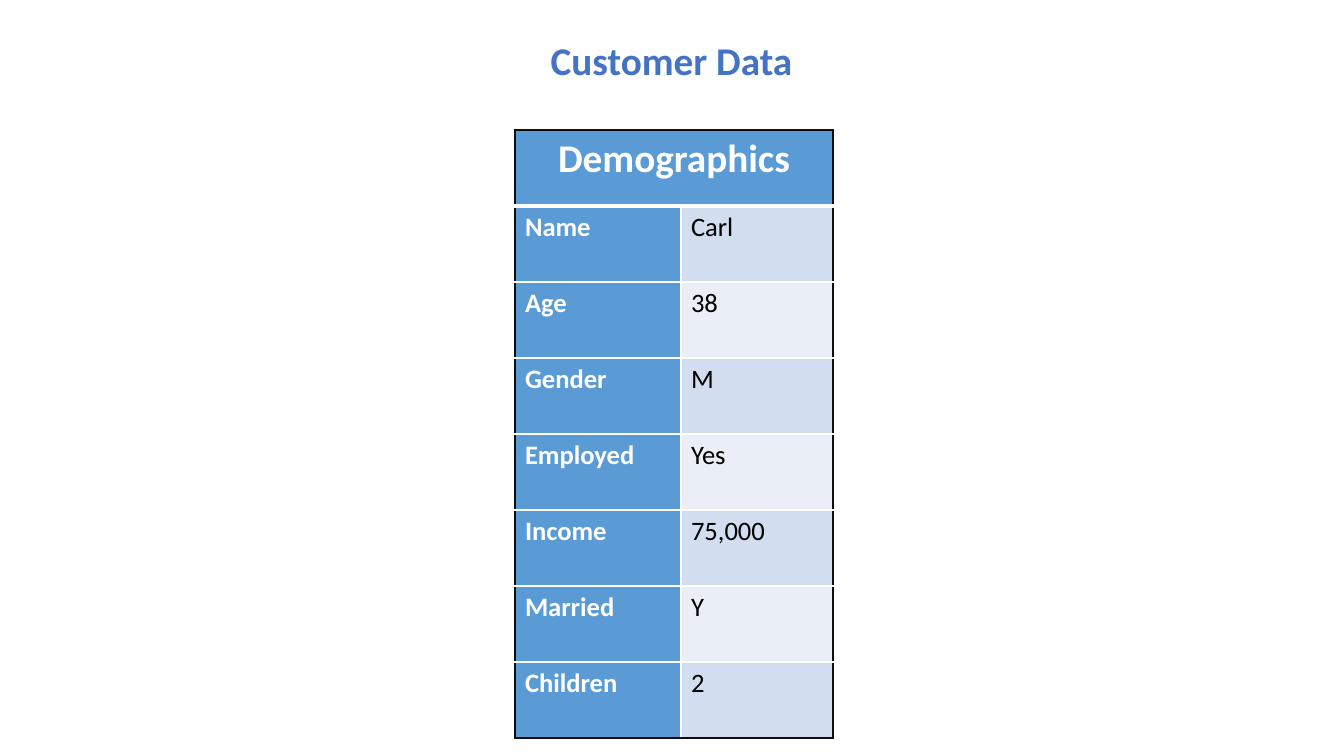
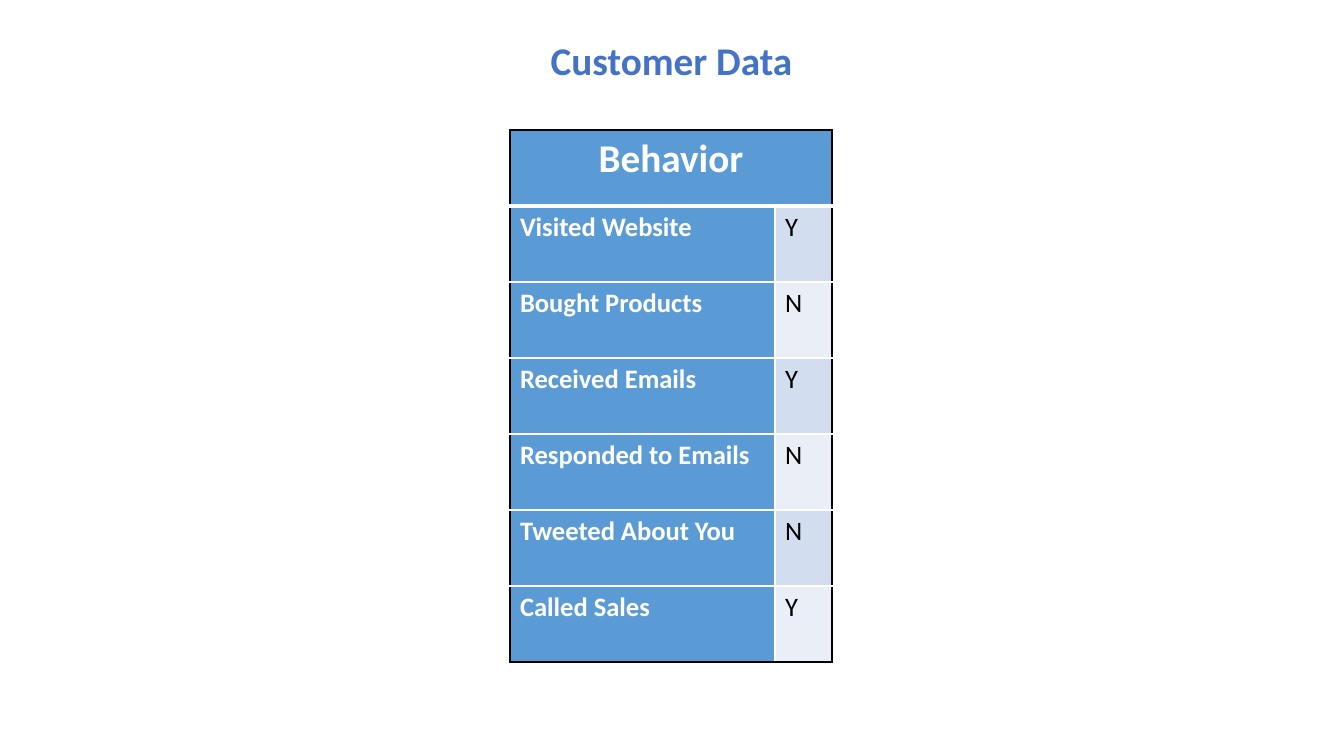
import pptx
import pptx.dml.color
import pptx.enum.text
import pptx.oxml
import pptx.oxml.ns
import pptx.util

WIDE, HIGH = 1344, 756
SCALE = 12192000 / WIDE
FONT = "Calibri"
WHITE, BLACK, TITLE = "FFFFFF", "000000", "4472C4"
HEAD, BANDS = "5B9BD5", ("D2DEEF", "EAEFF7")
ROW = 76
THIN, EDGE, RULE = 1, 2.25, 3
CENTER = pptx.enum.text.PP_ALIGN.CENTER


def px(num):
    return pptx.util.Emu(round(num * SCALE))


def color(code):
    return pptx.dml.color.RGBColor.from_string(code)


def write(frame, text, size=19, ink=WHITE, bold=True, align=None):
    para = frame.paragraphs[0]
    para.alignment = align
    run = para.add_run()
    run.text = text
    font = run.font
    font.name, font.size, font.bold = FONT, pptx.util.Pt(size), bold
    font.color.rgb = color(ink)


def border(cell, **sides):
    props = cell._tc.get_or_add_tcPr()
    for side in "LRTB":
        code, width = sides[side]
        props.append(pptx.oxml.parse_xml(
            f'<a:ln{side} {pptx.oxml.ns.nsdecls("a")} w="{pptx.util.Pt(width)}">'
            f'<a:solidFill><a:srgbClr val="{code}"/></a:solidFill></a:ln{side}>'))


def paint(cell, code):
    cell.fill.solid()
    cell.fill.fore_color.rgb = color(code)


def title(slide, text, left, top, width, height):
    box = slide.shapes.add_textbox(px(left), px(top), px(width), px(height))
    frame = box.text_frame
    frame.word_wrap = False
    frame.auto_size = pptx.enum.text.MSO_AUTO_SIZE.SHAPE_TO_FIT_TEXT
    write(frame, text, size=28, ink=TITLE, align=CENTER)


def grid(slide, left, top, widths, name, pairs, edge):
    count = len(pairs) + 1
    frame = slide.shapes.add_table(count, 2, px(left), px(top),
                                   px(sum(widths)), px(count * ROW))
    table = frame.table
    table.first_row = table.horz_banding = False
    for col, width in zip(table.columns, widths):
        col.width = px(width)
    for row in table.rows:
        row.height = px(ROW)
    outer, inner, rule = (edge, EDGE), (WHITE, THIN), (WHITE, RULE)
    table.cell(0, 0).merge(table.cell(0, 1))
    for col in range(2):
        cell = table.cell(0, col)
        border(cell, L=outer, R=outer, T=outer, B=rule)
        paint(cell, HEAD)
    write(table.cell(0, 0).text_frame, name, size=28, align=CENTER)
    for row, (label, value) in enumerate(pairs, 1):
        key, data = table.cell(row, 0), table.cell(row, 1)
        above = rule if row == 1 else inner
        below = outer if row == count - 1 else inner
        border(key, L=outer, R=inner, T=above, B=below)
        border(data, L=inner, R=outer, T=above, B=below)
        paint(key, HEAD)
        paint(data, BANDS[(row - 1) % 2])
        write(key.text_frame, label)
        write(data.text_frame, value, ink=BLACK, bold=False)


def page(deck, left, widths, name, pairs, edge):
    slide = deck.slides.add_slide(deck.slide_layouts[6])
    grid(slide, left, 130, widths, name, pairs, edge)
    title(slide, "Customer Data", 539, 31, 265, 57)


def main():
    deck = pptx.Presentation()
    deck.slide_width, deck.slide_height = px(WIDE), px(HIGH)
    page(deck, 515, (166, 152), "Demographics", (
        ("Name", "Carl"),
        ("Age", "38"),
        ("Gender", "M"),
        ("Employed", "Yes"),
        ("Income", "75,000"),
        ("Married", "Y"),
        ("Children", "2"),
    ), "0D0D0D")
    page(deck, 510, (265, 57), "Behavior", (
        ("Visited Website", "Y"),
        ("Bought Products", "N"),
        ("Received Emails", "Y"),
        ("Responded to Emails", "N"),
        ("Tweeted About You", "N"),
        ("Called Sales", "Y"),
    ), BLACK)
    deck.save("out.pptx")


if __name__ == "__main__":
    main()
